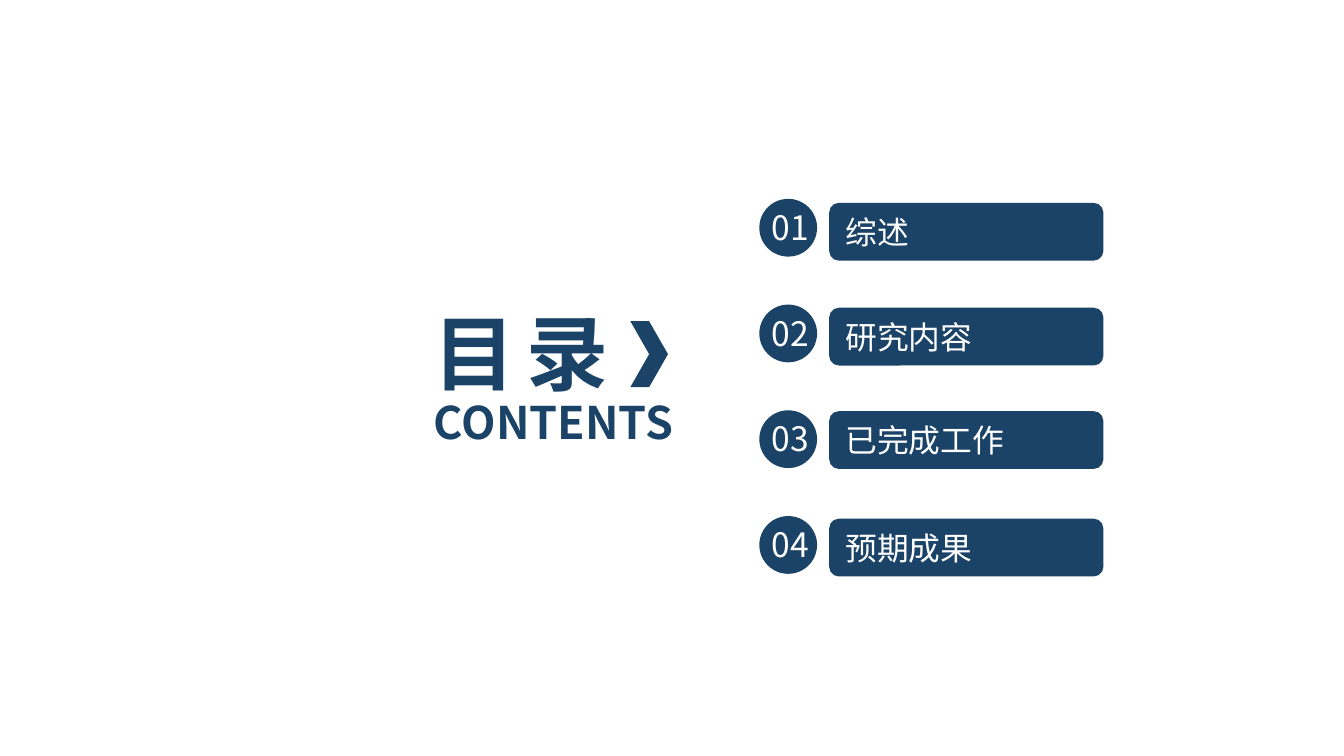
from pptx import Presentation
from pptx.dml.color import RGBColor
from pptx.enum.shapes import MSO_SHAPE
from pptx.enum.text import MSO_ANCHOR, PP_ALIGN
from pptx.oxml.ns import qn
from pptx.util import Inches, Pt
from lxml import etree

BAR = MSO_SHAPE.ROUNDED_RECTANGLE
DISC = MSO_SHAPE.OVAL
ARROW = MSO_SHAPE.CHEVRON
MIDDLE = MSO_ANCHOR.MIDDLE
LEFT, CENTER = PP_ALIGN.LEFT, PP_ALIGN.CENTER
FONT = "Noto Sans CJK SC"
COLORS = {"navy": "1B4367", "white": "FFFFFF"}

deck = Presentation()
deck.slide_width = Inches(10)
deck.slide_height = Inches(10 * 9 / 16)
slide = deck.slides.add_slide(deck.slide_layouts[6])


def add_form(kind, *box):
    form = slide.shapes.add_shape(kind, *map(Inches, box))
    form.shadow.inherit = False
    form.fill.solid()
    form.fill.fore_color.rgb = RGBColor.from_string(COLORS["navy"])
    form.line.fill.background()
    return form


def add_words(form, words, size, color, align=LEFT, bold=False):
    frame = form.text_frame
    frame.word_wrap = True
    frame.vertical_anchor = MIDDLE
    para = frame.paragraphs[0]
    para.alignment = align
    run = para.add_run()
    run.text = words
    run.font.size = Pt(size)
    run.font.bold = bold
    run.font.name = FONT
    run.font.color.rgb = RGBColor.from_string(COLORS[color])
    props = run._r.get_or_add_rPr()
    etree.SubElement(props, qn("a:ea"), typeface=FONT)
    return props


items = [("综述", 1.51), ("研究内容", 2.29), ("已完成工作", 3.06), ("预期成果", 3.86)]
first, last = 1.48, 3.84
step = (last - first) / (len(items) - 1)
for i, (label, top) in enumerate(items):
    bar = add_form(BAR, 6.17, top, 2.04, 0.43)
    add_words(bar, label, 17, "white")
    y = first + i * step
    add_form(DISC, 5.65, y, 0.43, 0.43)
    number = slide.shapes.add_textbox(Inches(5.62), Inches(y + 0.01), Inches(0.52), Inches(0.4))
    add_words(number, f"{i + 1:02}", 18, "white", CENTER)

title = slide.shapes.add_textbox(Inches(3.13), Inches(2.2), Inches(2.35), Inches(0.84))
add_words(title, "目 录", 44, "navy", bold=True).set("spc", "-220")
under = slide.shapes.add_textbox(Inches(3.13), Inches(2.89), Inches(2.31), Inches(0.5))
add_words(under, "CONTENTS", 24, "navy", bold=True)
add_form(ARROW, 4.69, 2.39, 0.28, 0.49)

deck.save("out.pptx")
